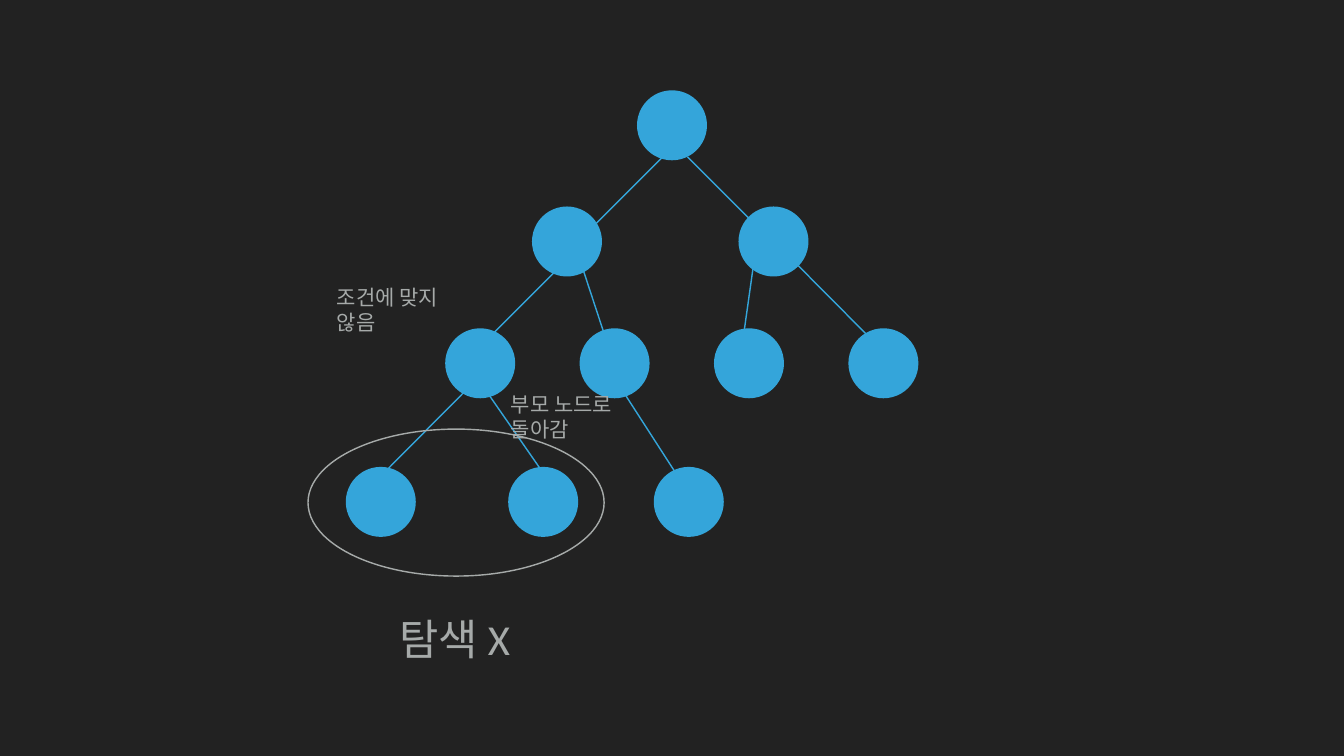
"""Builds a search-tree slide that marks the branch left out of the search."""
from lxml import etree
from pptx import Presentation
from pptx.dml.color import RGBColor
from pptx.enum.shapes import MSO_CONNECTOR, MSO_SHAPE
from pptx.enum.text import MSO_ANCHOR
from pptx.oxml.ns import qn
from pptx.util import Pt

OVAL = MSO_SHAPE.OVAL
STRAIGHT = MSO_CONNECTOR.STRAIGHT
MIDDLE = MSO_ANCHOR.MIDDLE

PX = 12700
SLIDE = (1920, 1080)
NODE = 100
INSET = 4


class Theme:
    back = RGBColor.from_string("222222")
    node = RGBColor.from_string("34A5DA")
    note = RGBColor.from_string("A6AAA9")
    font = "Calibri"
    note_size = 30
    large_size = 61
    line = 2


LEVELS = [
    (129, [910]),
    (295, [760, 1055]),
    (469, [636 + 192 * i for i in range(4)]),
    (667, [494, 726, 934]),
]
EDGES = [
    (982, 224, 1081, 323),
    (848, 323, 948, 223),
    (681, 500, 796, 385),
    (828, 370, 876, 516),
    (551, 673, 693, 530),
    (688, 549, 788, 693),
    (881, 545, 979, 697),
    (1058, 509, 1081, 346),
    (1115, 354, 1261, 501),
]
NOTES = [
    ("조건에 맞지 않음", (477, 418, 206, 49), Theme.note_size),
    ("부모 노드로 돌아감", (726, 571, 232, 49), Theme.note_size),
    ("탐색 X", (567, 866, 169, 91), Theme.large_size),
]
SKIPPED = (440, 613, 423, 210)


def emu(lengths):
    return [n * PX for n in lengths]


def add_oval(slide, box, fill=None, line=None):
    s = slide.shapes.add_shape(OVAL, *emu(box))
    s.shadow.inherit = False
    if fill is None:
        s.fill.background()
    else:
        s.fill.solid()
        s.fill.fore_color.rgb = fill
    if line is None:
        s.line.fill.background()
    else:
        s.line.color.rgb = line
        s.line.width = Pt(Theme.line)


def add_edge(slide, ends):
    c = slide.shapes.add_connector(STRAIGHT, *emu(ends))
    c.line.color.rgb = Theme.node
    c.line.width = Pt(Theme.line)
    etree.SubElement(c._element.spPr, qn("a:effectLst"))


def add_note(slide, text, box, size):
    tf = slide.shapes.add_textbox(*emu(box)).text_frame
    tf.word_wrap = True
    tf.vertical_anchor = MIDDLE
    tf.margin_left = tf.margin_right = INSET * PX
    tf.margin_top = tf.margin_bottom = INSET * PX
    p = tf.paragraphs[0]
    p.text = text
    p.font.name = Theme.font
    p.font.size = Pt(size)
    p.font.color.rgb = Theme.note


def main():
    prs = Presentation()
    prs.slide_width, prs.slide_height = emu(SLIDE)
    slide = prs.slides.add_slide(prs.slide_layouts[6])
    slide.background.fill.solid()
    slide.background.fill.fore_color.rgb = Theme.back
    for top, lefts in LEVELS:
        for left in lefts:
            add_oval(slide, (left, top, NODE, NODE), fill=Theme.node)
    for ends in EDGES:
        add_edge(slide, ends)
    for note in NOTES:
        add_note(slide, *note)
    add_oval(slide, SKIPPED, line=Theme.note)
    prs.save("out.pptx")


if __name__ == "__main__":
    main()
